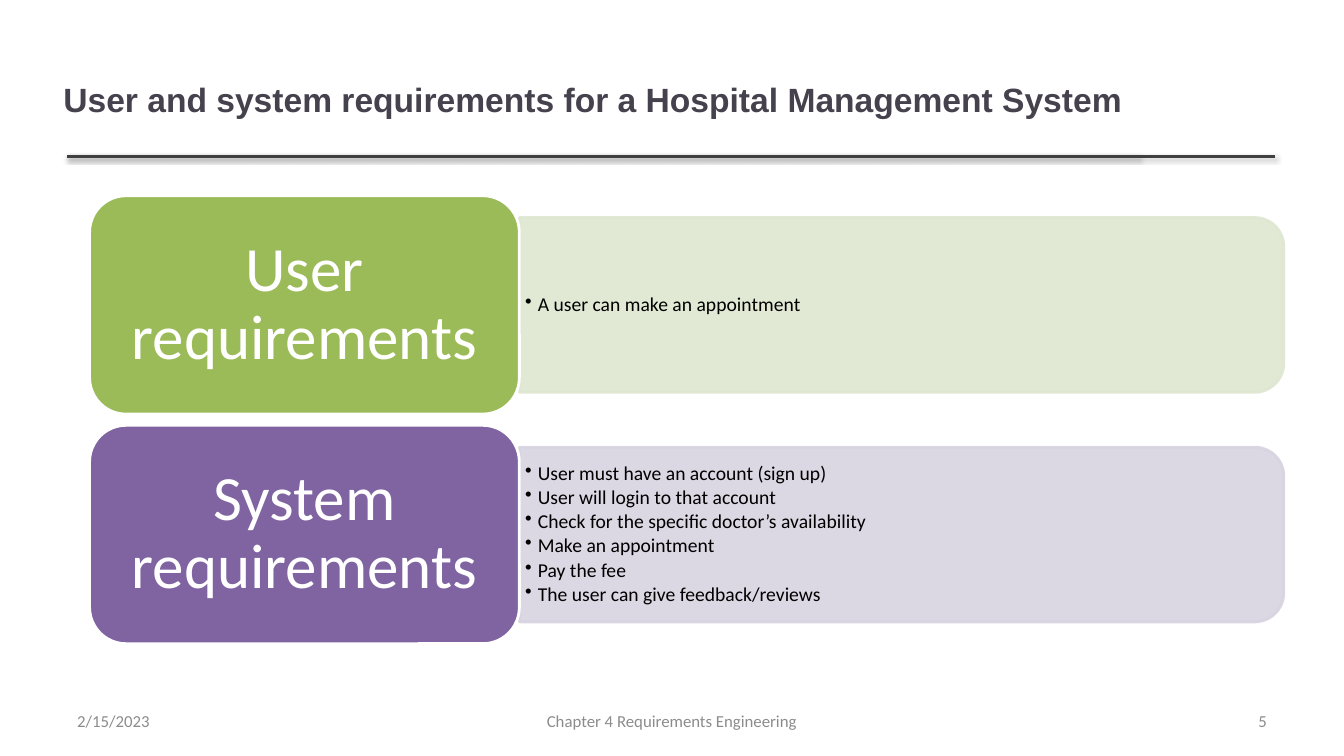
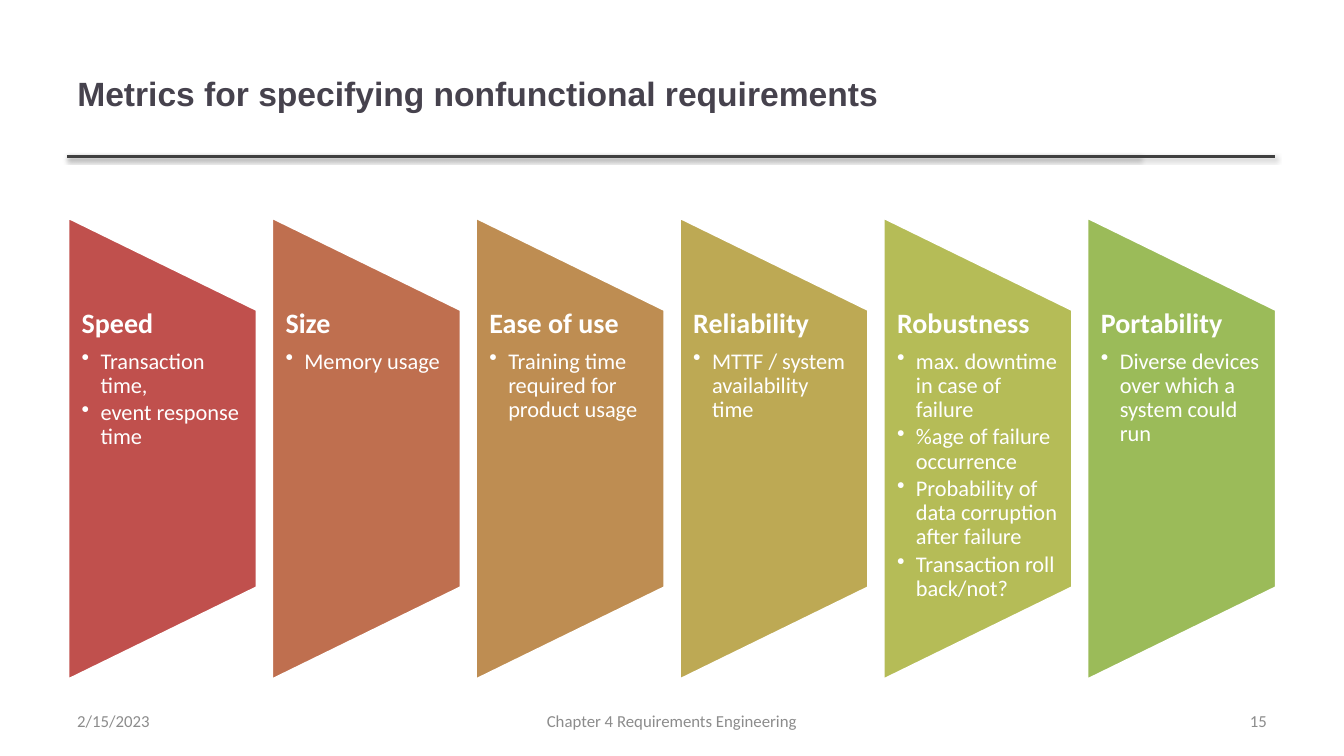
"""Build two slides on software requirements."""
from typing import NamedTuple

from lxml.etree import SubElement as Sub
from pptx import Presentation
from pptx.dml.color import RGBColor as Rgb
from pptx.enum.shapes import MSO_CONNECTOR as Link, MSO_SHAPE as Form
from pptx.enum.text import MSO_ANCHOR as Anchor, PP_ALIGN as Align
from pptx.oxml.ns import qn
from pptx.util import Pt

HUES = {
    "title": "46424D", "rule": "404040", "foot": "8C8C8C",
    "black": "000000", "white": "FFFFFF",
    "green": "9BBB59", "mint": "DEE7D1",
    "purple": "8064A2", "lilac": "D8D3E0",
    "red": "C0504D", "rust": "BF6F4F", "tan": "BE8D52",
    "gold": "BDA954", "lime": "B5BC57",
}


class Box(NamedTuple):
    left: float
    top: float
    width: float
    height: float


class Style(NamedTuple):
    size: float
    hue: str
    bold: bool = False
    font: str = "Calibri"
    align: Align = Align.LEFT
    line: float = 1
    after: float = 0
    dent: float = 0


class Row(NamedTuple):
    name: str
    hue: str
    tint: str
    items: list[str]


class Metric(NamedTuple):
    name: str
    hue: str
    items: list[str]


TITLE = Style(24, "title", True, "Arial")
FOOT = Style(12, "foot")
LABEL = Style(45, "white", align=Align.CENTER, line=0.9)
POINT = Style(14, "black", line=0.9, after=2.1, dent=9)
HEAD = Style(20, "white", True, line=0.9, after=7)
ITEM = Style(16, "white", line=0.9, after=2.4, dent=13.5)

ROWS = [
    Row("User requirements", "green", "mint", ["A user can make an appointment"]),
    Row("System requirements", "purple", "lilac", [
        "User must have an account (sign up)",
        "User will login to that account",
        "Check for the specific doctor’s availability",
        "Make an appointment",
        "Pay the fee",
        "The user can give feedback/reviews",
    ]),
]

METRICS = [
    Metric("Speed", "red", ["Transaction time,", "event response time"]),
    Metric("Size", "rust", ["Memory usage"]),
    Metric("Ease of use", "tan", ["Training time required for product usage"]),
    Metric("Reliability", "gold", ["MTTF / system availability time"]),
    Metric("Robustness", "lime", [
        "max. downtime in case of failure",
        "%age of failure occurrence",
        "Probability of data corruption after failure",
        "Transaction roll back/not?",
    ]),
    Metric("Portability", "green", ["Diverse devices over which a system could run"]),
]


def paint(hue: str) -> Rgb:
    """Return the named colour."""
    return Rgb.from_string(HUES[hue])


def style_para(para, style: Style) -> None:
    """Apply a style to one paragraph and its runs."""
    para.alignment = style.align
    para.line_spacing = style.line
    para.space_before = Pt(0)
    para.space_after = Pt(style.after)
    if style.dent:
        para.level = 1
        props = para._p.get_or_add_pPr()
        props.set("marL", str(Pt(style.dent)))
        props.set("indent", str(-Pt(style.dent)))
        Sub(props, qn("a:buChar"), char="•")
    for run in para.runs:
        run.font.name = style.font
        run.font.size = Pt(style.size)
        run.font.bold = style.bold
        run.font.color.rgb = paint(style.hue)


def fill_frame(frame, lines: list[str], styles: list[Style],
               pad: tuple[float, float] = (7.2, 3.6),
               anchor: Anchor = Anchor.MIDDLE) -> None:
    """Set the text, margins and style of a frame."""
    frame.text = "\n".join(lines)
    frame.word_wrap = True
    frame.vertical_anchor = anchor
    frame.margin_left = frame.margin_right = Pt(pad[0])
    frame.margin_top = frame.margin_bottom = Pt(pad[1])
    for para, style in zip(frame.paragraphs, styles):
        style_para(para, style)


def add_text(slide, box: Box, lines: list[str], styles: list[Style], **more) -> None:
    """Add a text box."""
    fill_frame(slide.shapes.add_textbox(*map(Pt, box)).text_frame, lines, styles, **more)


def add_form(slide, form: Form, box: Box, fill: str, edge: str, turn: int = 0):
    """Add a shape that covers the box once it is turned."""
    if turn:
        left, top, width, height = box
        shift = (width - height) / 2
        box = Box(left + shift, top - shift, height, width)
    shape = slide.shapes.add_shape(form, *map(Pt, box))
    shape.rotation = turn
    shape.shadow.inherit = False
    shape.fill.solid()
    shape.fill.fore_color.rgb = paint(fill)
    shape.line.color.rgb = paint(edge)
    shape.line.width = Pt(2)
    return shape


def add_rule(slide, end: float) -> None:
    """Add a shaded line under the title."""
    rule = slide.shapes.add_connector(Link.STRAIGHT, Pt(48), Pt(111.6), Pt(end), Pt(111.6))
    rule.line.color.rgb = paint("rule")
    rule.line.width = Pt(2)
    glow = Sub(Sub(rule._element.spPr, qn("a:effectLst")), qn("a:outerShdw"),
               blurRad=str(Pt(3.1)), dist=str(Pt(1.6)), dir="5400000", rotWithShape="0")
    Sub(Sub(glow, qn("a:srgbClr"), val=HUES["black"]), qn("a:alpha"), val="38000")


def add_slide(deck, title: str, box: Box, number: int):
    """Add a slide with its title, rules and footer."""
    slide = deck.slides.add_slide(deck.slide_layouts[5])
    for end in (815, 911):
        add_rule(slide, end)
    head = slide.shapes.title
    head.left, head.top, head.width, head.height = map(Pt, box)
    fill_frame(head.text_frame, [title], [TITLE])
    for left, width, text, align in (
        (328, 304, "Chapter 4 Requirements Engineering", Align.CENTER),
        (688, 224, str(number), Align.RIGHT),
        (48, 224, "2/15/2023", Align.LEFT),
    ):
        add_text(slide, Box(left, 500.5, width, 28.75), [text], [FOOT._replace(align=align)])
    return slide


def add_row(slide, row: Row, top: float) -> None:
    """Add a label card with its band of points."""
    band = add_form(slide, Form.ROUND_2_SAME_RECTANGLE,
                    Box(371, top + 15.6, 546, 124.8), row.tint, row.tint, 90)
    for tone in band._element.spPr.iter(qn("a:srgbClr")):
        Sub(tone, qn("a:alpha"), val="90000")
    add_text(slide, Box(371, top + 21.7, 540, 112.6), row.items,
             [POINT] * len(row.items), pad=(4.2, 2.1))
    card = add_form(slide, Form.ROUNDED_RECTANGLE, Box(64, top, 307, 156), row.hue, "white")
    fill_frame(card.text_frame, [row.name], [LABEL], pad=(13.5, 6.75))


def add_metric(slide, metric: Metric, left: float) -> None:
    """Add a slanted column with a heading and its points."""
    add_form(slide, Form.FLOWCHART_MANUAL_OPERATION,
             Box(left, 155.2, 135.2, 330.5), metric.hue, "white", 270)
    add_text(slide, Box(left, 221.2, 135.2, 198.4), [metric.name, *metric.items],
             [HEAD] + [ITEM] * len(metric.items), pad=(9.9, 0), anchor=Anchor.TOP)


def main() -> None:
    """Build and save the deck."""
    deck = Presentation()
    deck.slide_width, deck.slide_height = Pt(960), Pt(540)
    slide = add_slide(deck, "User and system requirements for a Hospital Management System",
                      Box(38, 26, 823, 90), 5)
    for index, row in enumerate(ROWS):
        add_row(slide, row, 139.8 + 164 * index)
    slide = add_slide(deck, "Metrics for specifying nonfunctional requirements",
                      Box(48, 21.6, 765, 90), 15)
    for index, metric in enumerate(METRICS):
        add_metric(slide, metric, 48.5 + 145.6 * index)
    deck.save("out.pptx")


if __name__ == "__main__":
    main()
